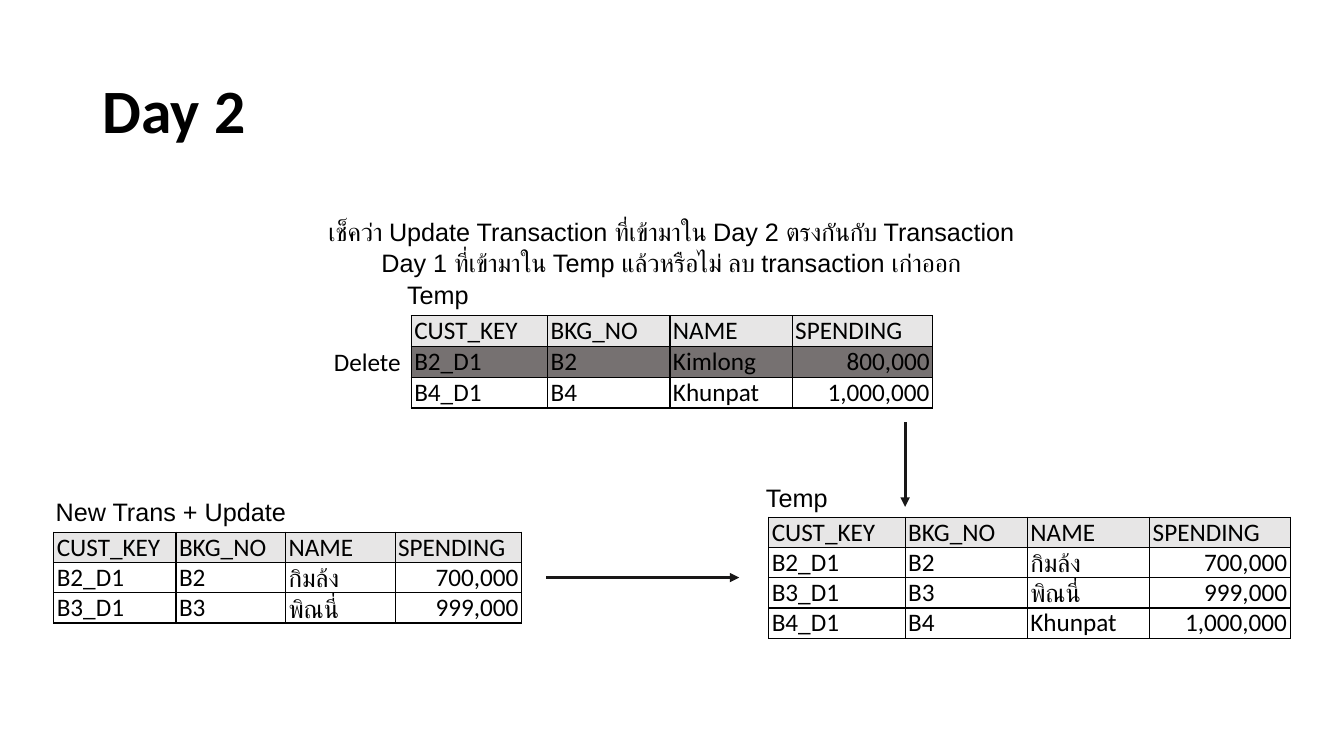
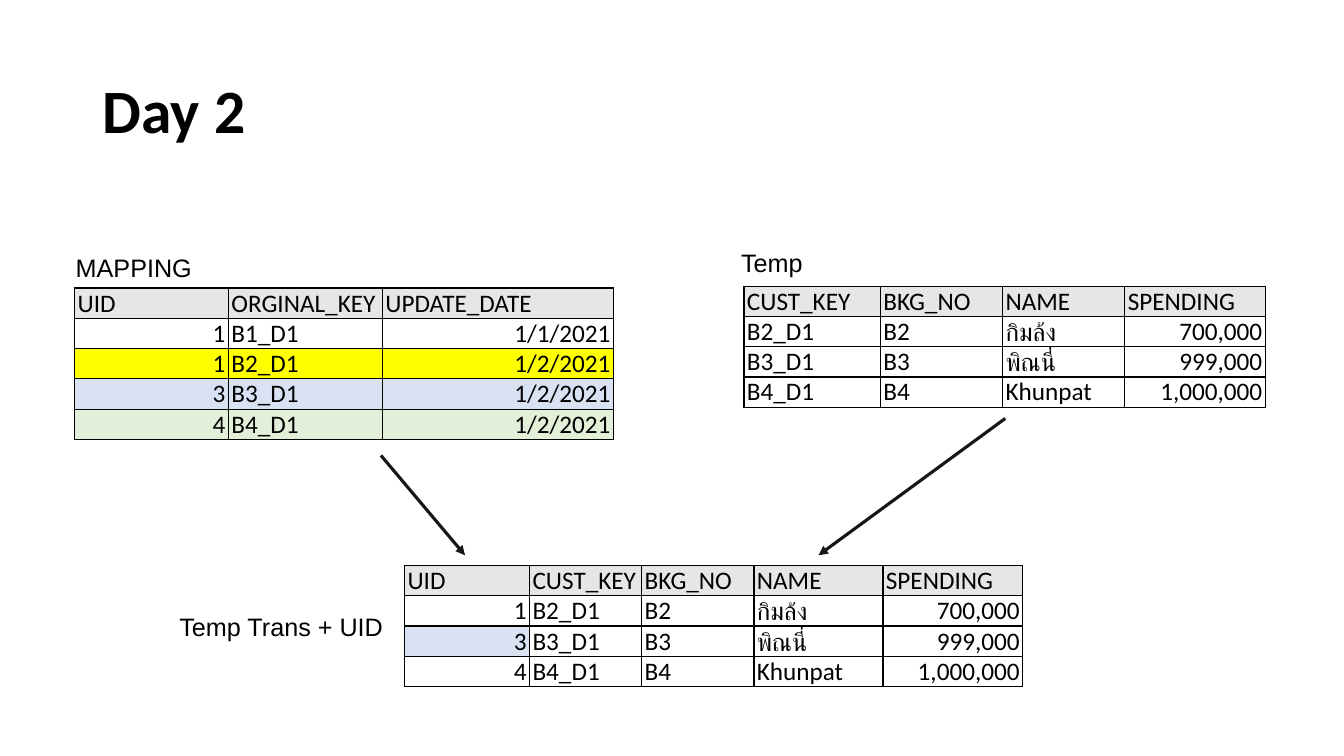
from lxml import etree
from pptx import Presentation
from pptx import util as u
from pptx.dml.color import RGBColor
from pptx.enum import shapes, text
from pptx.oxml import ns

W, H = u.Inches(13.333), u.Inches(7.5)
ROW_H, LABEL_H = 4, 5.35

BLACK = RGBColor(0x00, 0x00, 0x00)
WHITE = RGBColor(0xFF, 0xFF, 0xFF)
INK = RGBColor(0x18, 0x17, 0x17)
HEADER = RGBColor(0xE7, 0xE6, 0xE6)
DELETED = RGBColor(0x76, 0x71, 0x71)
YELLOW = RGBColor(0xFF, 0xFF, 0x00)
BLUE = RGBColor(0xD9, 0xE2, 0xF3)
GREEN = RGBColor(0xE2, 0xEF, 0xD9)

TITLE_FONT = dict(name="Calibri", size=u.Pt(44), bold=True)
CELL_FONT = dict(name="Calibri", size=u.Pt(18))
LABEL_FONT = dict(name="Arial", size=u.Pt(18))
CELL = dict(margin_left=u.Inches(0.03), margin_right=u.Inches(0.03),
            margin_top=0, margin_bottom=0,
            vertical_anchor=text.MSO_ANCHOR.BOTTOM)

FIELDS = ["CUST_KEY", "BKG_NO", "NAME", "SPENDING"]
KIMLONG = ["B2_D1", "B2", "กิมล้ง", "700,000"]
PINNY = ["B3_D1", "B3", "พิณนี่", "999,000"]
KHUNPAT = ["B4_D1", "B4", "Khunpat", "1,000,000"]
UPDATES = [FIELDS, KIMLONG, PINNY]
TEMP = UPDATES + [KHUNPAT]
TEMP_COLS = [10.15, 9.1, 9.1, 10.45]


def x(share):
    return round(W * share / 100)


def y(share):
    return round(H * share / 100)


def apply(obj, values):
    for key, value in values.items():
        setattr(obj, key, value)


def write(tf, words, font, align=text.PP_ALIGN.LEFT):
    p = tf.paragraphs[0]
    p.alignment = align
    r = p.add_run()
    r.text = words
    apply(r.font, font)
    r.font.color.rgb = BLACK
    return p


def new_slide(prs, title):
    s = prs.slides.add_slide(prs.slide_layouts[5])
    sp = s.shapes.title
    apply(sp, dict(left=x(6.9), top=y(5.33), width=x(86.25), height=y(19.33)))
    sp.text_frame.vertical_anchor = text.MSO_ANCHOR.MIDDLE
    write(sp.text_frame, title, TITLE_FONT).line_spacing = 0.9
    return s


def label(s, words, left, top, width, height=LABEL_H, font=LABEL_FONT,
          align=text.PP_ALIGN.LEFT, wrap=True):
    tf = s.shapes.add_textbox(x(left), y(top), x(width), y(height)).text_frame
    apply(tf, dict(word_wrap=wrap,
                   auto_size=text.MSO_AUTO_SIZE.SHAPE_TO_FIT_TEXT))
    write(tf, words, font, align)


def border(cell):
    tc_pr = cell._tc.get_or_add_tcPr()
    for i, side in enumerate(("lnL", "lnR", "lnT", "lnB")):
        ln = etree.Element(ns.qn("a:" + side), w=str(u.Pt(1)))
        fill = etree.SubElement(ln, ns.qn("a:solidFill"))
        etree.SubElement(fill, ns.qn("a:srgbClr"), val=str(BLACK))
        tc_pr.insert(i, ln)


def table(s, rows, left, top, cols, row_fills={}, cell_fills={}):
    tbl = s.shapes.add_table(len(rows), len(cols), x(left), y(top),
                             x(sum(cols)), y(ROW_H * len(rows))).table
    apply(tbl, dict(first_row=False, horz_banding=False))
    for col, width in zip(tbl.columns, cols):
        col.width = x(width)
    fills = {0: HEADER, **row_fills}
    for i, row in enumerate(rows):
        for j, words in enumerate(row):
            cell = tbl.cell(i, j)
            apply(cell, CELL)
            border(cell)
            cell.fill.solid()
            cell.fill.fore_color.rgb = cell_fills.get((i, j),
                                                      fills.get(i, WHITE))
            is_number = words[0].isdigit()
            write(cell.text_frame, words, CELL_FONT,
                  text.PP_ALIGN.RIGHT if is_number else text.PP_ALIGN.LEFT)


def arrow(s, x1, y1, x2, y2):
    sp = s.shapes.add_connector(shapes.MSO_CONNECTOR.STRAIGHT,
                                x(x1), y(y1), x(x2), y(y2))
    sp.line.width = u.Pt(2.25)
    sp.line.color.rgb = INK
    etree.SubElement(sp.line._get_or_add_ln(), ns.qn("a:tailEnd"),
                     type="triangle")
    etree.SubElement(sp._element.spPr, ns.qn("a:effectLst"))


def delete_slide(prs):
    s = new_slide(prs, "Day 2")
    old_temp = [FIELDS, ["B2_D1", "B2", "Kimlong", "800,000"], KHUNPAT]
    table(s, old_temp, 30.6, 41.75, TEMP_COLS, {1: DELETED})
    label(s, "เช็คว่า Update Transaction ที่เข้ามาใน Day 2 ตรงกันกับ Transaction "
          "Day 1 ที่เข้ามาใน Temp แล้วหรือไม่ ลบ transaction เก่าออก",
          22.7, 28, 54.5, 9.4, align=text.PP_ALIGN.CENTER)
    label(s, "Delete", 24.1, 45.1, 6.5, font=CELL_FONT, wrap=False)
    label(s, "Temp", 29.55, 36.25, 6.5)
    label(s, "Temp", 56.25, 63.2, 13)
    table(s, TEMP, 57.2, 68.4, TEMP_COLS)
    table(s, UPDATES, 4, 70.4, [9.1, 8.15, 8.15, 9.4])
    label(s, "New Trans + Update", 3.4, 64.95, 50)
    arrow(s, 67.35, 55.85, 67.35, 67.05)
    arrow(s, 40.65, 76.4, 55, 76.4)


def mapping_slide(prs):
    s = new_slide(prs, "Day 2")
    label(s, "Temp", 54.4, 32, 13)
    table(s, TEMP, 55.35, 37.85, TEMP_COLS)
    mapping = [["UID", "ORGINAL_KEY", "UPDATE_DATE"],
               ["1", "B1_D1", "1/1/2021"],
               ["1", "B2_D1", "1/2/2021"],
               ["3", "B3_D1", "1/2/2021"],
               ["4", "B4_D1", "1/2/2021"]]
    table(s, mapping, 5.55, 38.1, [11.45, 11.45, 17.2],
          {2: YELLOW, 3: BLUE, 4: GREEN})
    with_uid = [[uid] + row for uid, row in zip(["UID", "1", "3", "4"], TEMP)]
    table(s, with_uid, 30.1, 74.8, [9.3, 8.35, 8.35, 9.6, 10.4],
          cell_fills={(2, 0): BLUE})
    label(s, "MAPPING", 4.9, 32.65, 10.3, wrap=False)
    arrow(s, 28.35, 60.25, 34.6, 73.45)
    arrow(s, 74.8, 55.35, 60.9, 73.45)
    label(s, "Temp Trans + UID", 12.6, 80.15, 17.5)


def main():
    prs = Presentation()
    apply(prs, dict(slide_width=W, slide_height=H))
    delete_slide(prs)
    mapping_slide(prs)
    prs.save("out.pptx")


if __name__ == "__main__":
    main()
